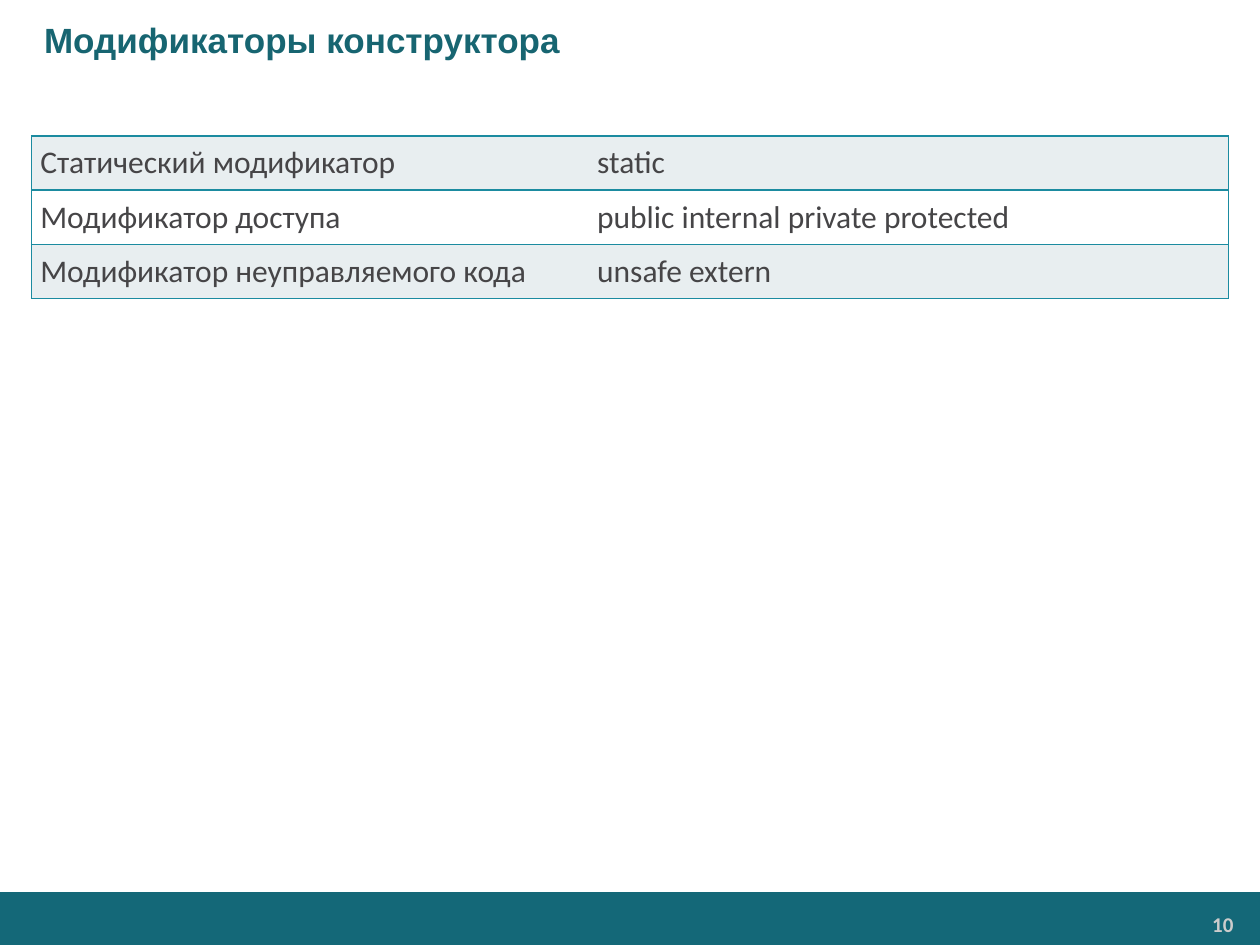
from dataclasses import dataclass

from lxml import etree
from pptx import Presentation
from pptx import util as u
from pptx.dml.color import RGBColor
from pptx.enum import shapes, text
from pptx.oxml.ns import qn


@dataclass(frozen=True)
class Theme:
    bar: str = "146878"
    title: str = "176571"
    body: str = "464547"
    page: str = "CCCCCC"
    rule: str = "1B8BA0"
    bands: tuple = ("E8EEF0", "FFFFFF")
    head_font: str = "Arial"
    body_font: str = "Calibri"
    head_size: int = 20
    body_size: int = 18
    page_size: int = 12


def rgb(color):
    return RGBColor.from_string(color)


def write(frame, words, font, size, color, bold=False,
          align=text.PP_ALIGN.LEFT, pad=(0.07, 0.05)):
    """Put one formatted paragraph into a text frame."""
    frame.word_wrap = True
    frame.vertical_anchor = text.MSO_ANCHOR.MIDDLE
    frame.margin_left = frame.margin_right = u.Inches(pad[0])
    frame.margin_top = frame.margin_bottom = u.Inches(pad[1])
    para = frame.paragraphs[0]
    para.alignment = align
    run = para.add_run()
    run.text = words
    run.font.name = font
    run.font.size = u.Pt(size)
    run.font.bold = bold
    run.font.color.rgb = rgb(color)


class Deck:
    def __init__(self, theme):
        self.theme = theme
        self.file = Presentation()
        self.file.slide_width = u.Inches(10)
        self.file.slide_height = u.Inches(7.5)
        self.slide = self.file.slides.add_slide(self.file.slide_layouts[6])

    def bar(self, *box):
        bar = self.slide.shapes.add_shape(
            shapes.MSO_SHAPE.RECTANGLE, *map(u.Inches, box))
        bar.shadow.inherit = False
        bar.fill.solid()
        bar.fill.fore_color.rgb = rgb(self.theme.bar)
        bar.line.fill.background()

    def label(self, words, *box, **style):
        label = self.slide.shapes.add_textbox(*map(u.Inches, box))
        write(label.text_frame, words, **style)

    def edge(self, cell, side, shown):
        """Draw or clear one border of a cell."""
        line = etree.SubElement(cell._tc.get_or_add_tcPr(), qn(f"a:ln{side}"),
                                w=str(u.Pt(1)))
        if shown:
            fill = etree.SubElement(line, qn("a:solidFill"))
            etree.SubElement(fill, qn("a:srgbClr"), val=self.theme.rule)
        else:
            etree.SubElement(line, qn("a:noFill"))

    def table(self, rows, widths, high, left, top):
        look = self.theme
        grid = self.slide.shapes.add_table(
            len(rows), len(widths), u.Inches(left), u.Inches(top),
            u.Inches(sum(widths)), u.Inches(high * len(rows))).table
        for col, width in zip(grid.columns, widths):
            col.width = u.Inches(width)
        last = len(widths) - 1
        for r, row in enumerate(rows):
            grid.rows[r].height = u.Inches(high)
            for c, words in enumerate(row):
                cell = grid.cell(r, c)
                write(cell.text_frame, words, font=look.body_font,
                      size=look.body_size, color=look.body)
                cell.vertical_anchor = text.MSO_ANCHOR.MIDDLE
                cell.margin_left = cell.margin_right = u.Inches(0.07)
                cell.margin_top = cell.margin_bottom = u.Inches(0.05)
                # Only the inner vertical rule is left out
                for side, shown in (("L", c == 0), ("R", c == last),
                                    ("T", True), ("B", True)):
                    self.edge(cell, side, shown)
                cell.fill.solid()
                cell.fill.fore_color.rgb = rgb(look.bands[r % 2])


def main():
    look = Theme()
    deck = Deck(look)

    # Footer with page number
    deck.bar(0, 7.08, 10, 0.42)
    deck.label("10", 8.23, 7.19, 1.63, 0.28, font=look.body_font,
               size=look.page_size, color=look.page, bold=True,
               align=text.PP_ALIGN.RIGHT, pad=(0.07, 0.04))

    # Title
    deck.label("Модификаторы конструктора", 0, 0, 10, 0.63,
               font=look.head_font, size=look.head_size, color=look.title,
               bold=True, pad=(0.35, 0.05))

    # Constructor modifiers
    deck.table([("Статический модификатор", "static"),
                ("Модификатор доступа", "public internal private protected"),
                ("Модификатор неуправляемого кода", "unsafe extern")],
               widths=(4.42, 5.08), high=0.43, left=0.25, top=1.08)

    deck.file.save("out.pptx")


if __name__ == "__main__":
    main()
